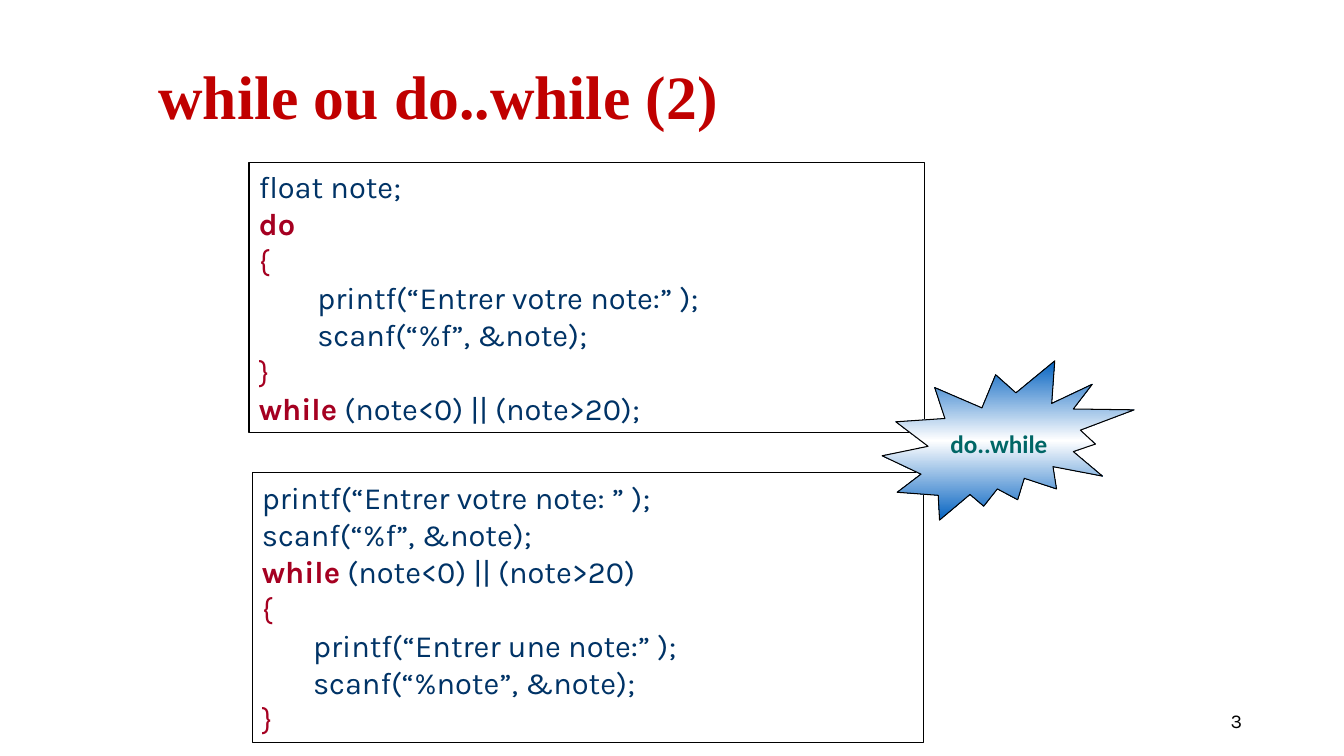
from copy import deepcopy

from pptx import Presentation
from pptx.dml.color import RGBColor
from pptx.enum.shapes import MSO_SHAPE
from pptx.enum.text import MSO_ANCHOR, MSO_AUTO_SIZE, PP_ALIGN
from pptx.util import Inches, Pt

COLOURS = {
    "title": "C00000",
    "code": "003366",
    "keyword": "A50021",
    "badge": "006666",
    "blue": "0563C1",
    "white": "FFFFFF",
    "black": "000000",
}

STYLES = {
    "title": {"name": "Times New Roman", "size": Pt(44), "bold": True},
    "code": {"name": "Karla", "size": Pt(22), "bold": False},
    "keyword": {"name": "Karla", "size": Pt(22), "bold": True},
    "brace": {"name": "Karla", "size": Pt(22), "bold": False},
    "badge": {"name": "Calibri", "size": Pt(18), "bold": True},
    "number": {"name": "Karla", "size": Pt(14), "bold": False},
}
STYLE_COLOURS = {"brace": "keyword", "number": "black"}

DO_WHILE_CODE = [
    [("float note;", "code")],
    [("do", "keyword")],
    [("{", "brace")],
    [("        printf(“Entrer votre note:” );", "code")],
    [("        scanf(“%f”, &note);", "code")],
    [("}", "brace")],
    [("while", "keyword"), (" (note<0) || (note>20);", "code")],
]
WHILE_CODE = [
    [("printf(“Entrer votre note: ” );", "code")],
    [("scanf(“%f”, &note);", "code")],
    [("while", "keyword"), (" (note<0) || (note>20)", "code")],
    [("{", "brace")],
    [("       printf(“Entrer une note:” );", "code")],
    [("       scanf(“%note”, &note);", "code")],
    [("}", "brace")],
]


def colour(name):
    return RGBColor.from_string(COLOURS[name])


def write(box, lines, align=PP_ALIGN.LEFT, wrap=True):
    frame = box.text_frame
    settings = {
        "word_wrap": wrap,
        "auto_size": MSO_AUTO_SIZE.NONE,
        "vertical_anchor": MSO_ANCHOR.MIDDLE,
    }
    for key, value in settings.items():
        setattr(frame, key, value)
    for index, line in enumerate(lines):
        para = frame.add_paragraph() if index else frame.paragraphs[0]
        para.alignment = align
        for text, style in line:
            span = para.add_run()
            span.text = text
            for key, value in STYLES[style].items():
                setattr(span.font, key, value)
            span.font.color.rgb = colour(STYLE_COLOURS.get(style, style))


def add_outlined(page, kind, left, top, width, height):
    shape = page.shapes.add_shape(
        kind, Inches(left), Inches(top), Inches(width), Inches(height)
    )
    shape.shadow.inherit = False
    shape.fill.background()
    shape.line.color.rgb = colour("black")
    shape.line.width = Pt(0.75)
    return shape


def add_title(page, text):
    title = page.shapes.title
    place = {"left": 1.47, "top": 0.36, "width": 9, "height": 1.25}
    for key, value in place.items():
        setattr(title, key, Inches(value))
    write(title, [[(text, "title")]])
    title.text_frame.paragraphs[0].line_spacing = 0.9


def add_code(page, lines, left, top, width):
    box = add_outlined(page, MSO_SHAPE.RECTANGLE, left, top, width, 2.68)
    write(box, lines)


def add_badge(page, text):
    badge = add_outlined(page, MSO_SHAPE.EXPLOSION2, 8.75, 3.58, 2.5, 1.58)
    badge.fill.gradient()
    badge.fill.gradient_angle = 90
    first = badge.fill._fill._gradFill.gsLst[0]
    first.addnext(deepcopy(first))
    stops = [(0, "blue"), (0.5, "white"), (1, "blue")]
    for stop, (position, name) in zip(badge.fill.gradient_stops, stops):
        stop.position = position
        stop.color.rgb = colour(name)
    write(badge, [[(text, "badge")]], PP_ALIGN.CENTER, wrap=False)


def add_page_number(page, text):
    box = page.shapes.add_textbox(Inches(9.42), Inches(6.95), Inches(3), Inches(0.4))
    write(box, [[(text, "number")]], PP_ALIGN.RIGHT)


def main():
    deck = Presentation()
    deck.slide_width = Inches(13.33)
    deck.slide_height = Inches(7.5)
    page = deck.slides.add_slide(deck.slide_layouts[5])
    add_page_number(page, "3")
    add_code(page, DO_WHILE_CODE, 2.47, 1.61, 6.7)
    add_title(page, "while ou do..while (2)")
    add_code(page, WHILE_CODE, 2.5, 4.69, 6.66)
    add_badge(page, "do..while")
    deck.save("out.pptx")


if __name__ == "__main__":
    main()
